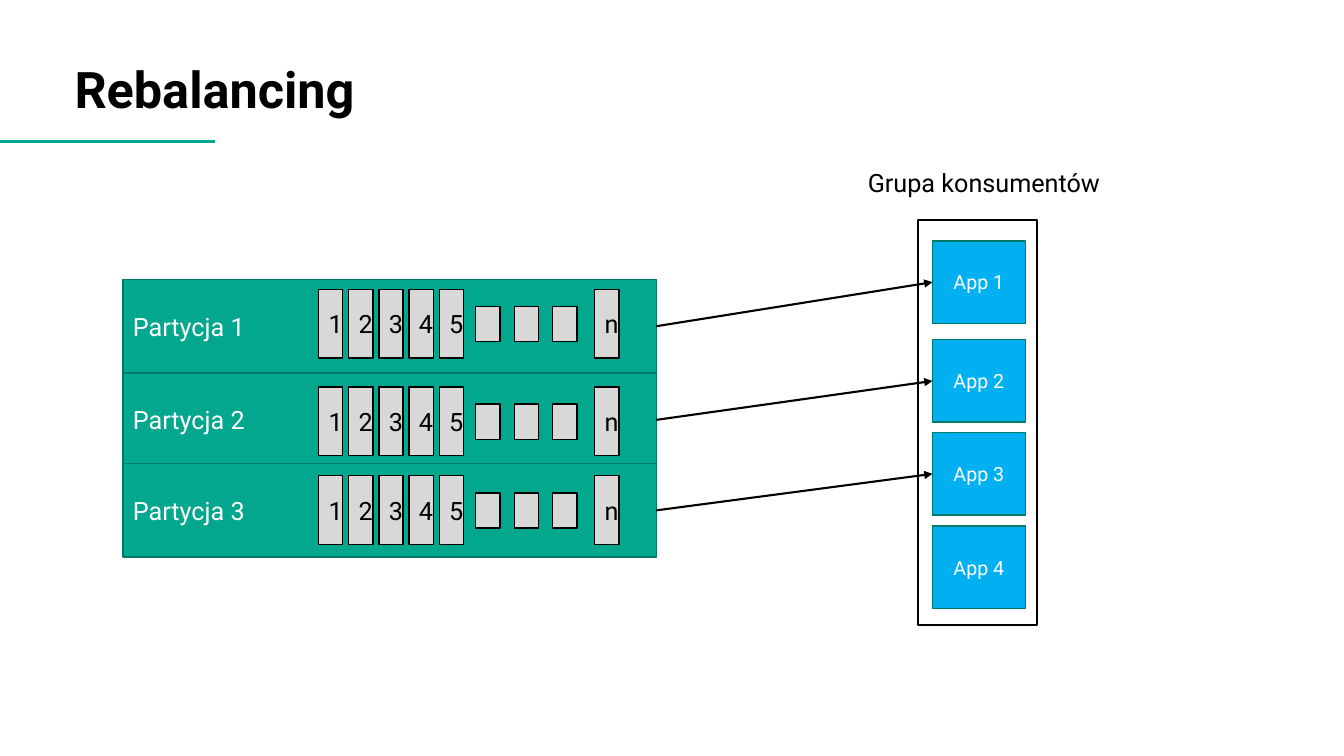
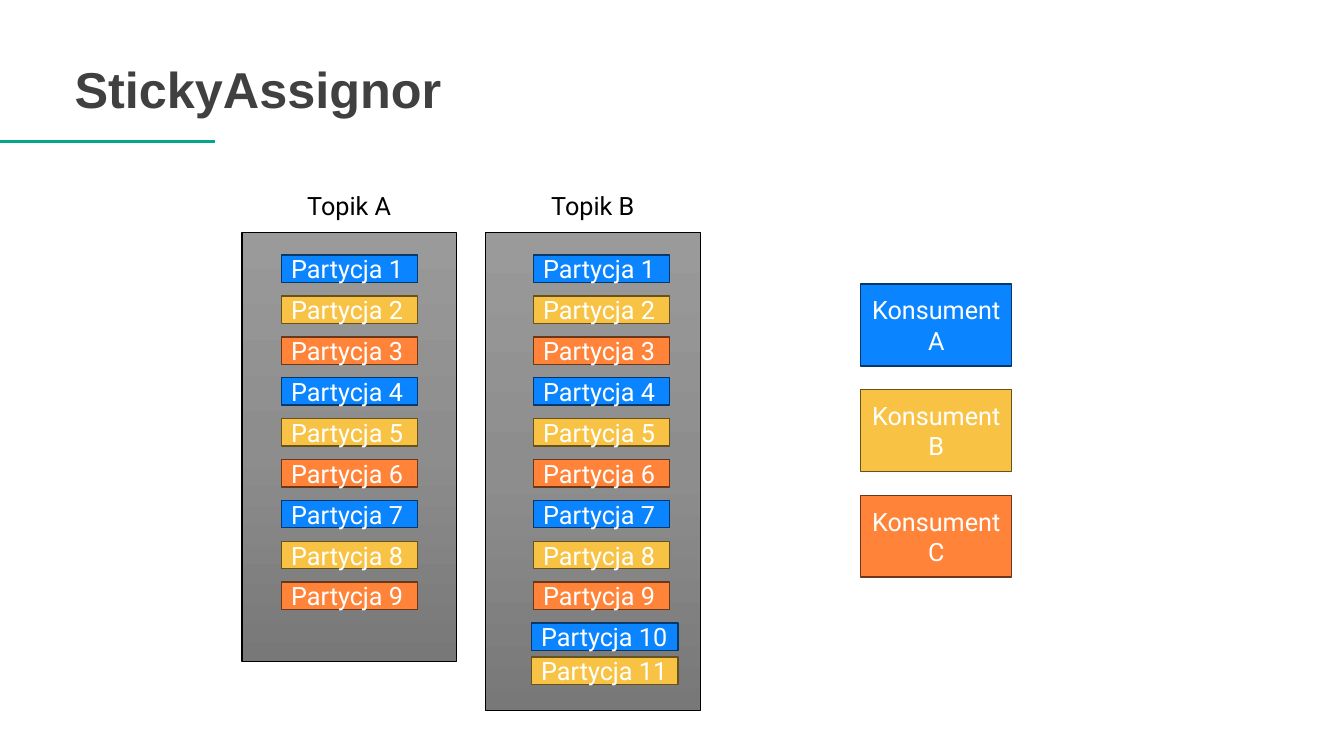
from copy import deepcopy
from lxml.etree import SubElement
from pptx import Presentation
from pptx.dml.color import RGBColor
from pptx.enum.shapes import MSO_CONNECTOR, MSO_SHAPE
from pptx.enum.text import MSO_ANCHOR, PP_ALIGN
from pptx.oxml.ns import qn
from pptx.util import Cm, Pt

HUES = {
    "black": "000000", "white": "FFFFFF", "dark": "404040", "grey": "D8D8D8",
    "green": "02A78E", "pine": "017967", "sky": "00B0F0",
    "blue": "0A85FF", "navy": "04386B", "gold": "F8C344", "brown": "68521C",
    "coral": "FF843A", "rust": "6B3718",
    "top": "9A9A9A", "mid": "8D8D8D", "low": "787878",
}
FONT = "Roboto"

ROWS = [("Partycja 1", 7.04, 7.29), ("Partycja 2", 9.4, 9.75), ("Partycja 3", 11.68, 11.99)]
CELLS = [(str(n + 1), 8.03 + 0.76 * n) for n in range(5)] + [("n", 14.99)]
GAPS = [11.99 + 0.97 * n for n in range(3)]
APPS = [("App 1", 6.07), ("App 2", 8.56), ("App 3", 10.9), ("App 4", 13.26)]

TOPICS = [("Topik A", 6.1, 10.8, 7.09, 9), ("Topik B", 12.24, 12.04, 13.44, 11)]
TOPS = [6.43 + 1.03 * n for n in range(10)] + [16.56]
USERS = [("Konsument A", "blue", "navy"), ("Konsument B", "gold", "brown"),
         ("Konsument C", "coral", "rust")]


def rgb(hue):
    return RGBColor.from_string(HUES[hue])


def write(shape, text, hue, size=18, font=FONT, bold=False, align=PP_ALIGN.LEFT,
          anchor=MSO_ANCHOR.MIDDLE, side=0.25):
    frame = shape.text_frame
    frame.word_wrap = True
    frame.vertical_anchor = anchor
    frame.margin_left = frame.margin_right = Cm(side)
    frame.margin_top = frame.margin_bottom = Cm(0.13)
    para = frame.paragraphs[0]
    para.alignment = align
    run = para.add_run()
    run.text = text
    run.font.name = font
    run.font.size = Pt(size)
    run.font.bold = bold
    run.font.color.rgb = rgb(hue)


def label(slide, text, x, y, w, h, hue="black", **style):
    box = slide.shapes.add_textbox(Cm(x), Cm(y), Cm(w), Cm(h))
    write(box, text, hue, **style)


def block(slide, x, y, w, h, fill, edge, width=1):
    rect = slide.shapes.add_shape(MSO_SHAPE.RECTANGLE, Cm(x), Cm(y), Cm(w), Cm(h))
    rect.shadow.inherit = False
    if fill:
        rect.fill.solid()
        rect.fill.fore_color.rgb = rgb(fill)
    else:
        rect.fill.background()
    rect.line.color.rgb = rgb(edge)
    rect.line.width = Pt(width)
    return rect


def shade(rect):
    rect.fill.gradient()
    rect.fill.gradient_angle = 270
    first = next(rect._element.spPr.iter(qn("a:gs")))
    first.addnext(deepcopy(first))
    for stop, (hue, pos) in zip(rect.fill.gradient_stops,
                                [("top", 0), ("mid", 0.5), ("low", 1)]):
        stop.color.rgb = rgb(hue)
        stop.position = pos


def line(slide, hue, width, x=0, y=0, end=0):
    link = slide.shapes.add_connector(MSO_CONNECTOR.STRAIGHT, Cm(x), Cm(y), Cm(end), Cm(y))
    link.line.color.rgb = rgb(hue)
    link.line.width = Pt(width)
    SubElement(link._element.spPr, qn("a:effectLst"))
    return link


def arrow(slide, start, end):
    link = line(slide, "black", 1.5)
    link.begin_connect(start, 3)
    link.end_connect(end, 1)
    SubElement(link.line._get_or_add_ln(), qn("a:tailEnd"), type="triangle")


def page(deck, title, hue, font):
    slide = deck.slides.add_slide(deck.slide_layouts[6])
    line(slide, "green", 2, y=3.56, end=5.41)
    label(slide, title, 1.88, 0, 30.07, 3.12, hue, size=36, font=font, bold=True,
          anchor=MSO_ANCHOR.BOTTOM, side=0)
    return slide


def balance(deck):
    slide = page(deck, "Rebalancing", "black", FONT)
    bars = []
    for name, top, y in ROWS:
        bar = block(slide, 3.1, top, 13.44, 2.36, "green", "pine")
        write(bar, name, "white")
        bars.append(bar)
        for text, x in CELLS:
            cell = block(slide, x, y, 0.61, 1.73, "grey", "black")
            write(cell, text, "black", align=PP_ALIGN.CENTER)
        for x in GAPS:
            block(slide, x, y + 0.43, 0.61, 0.89, "grey", "black")
    block(slide, 23.14, 5.54, 3, 10.21, None, "black")
    label(slide, "Grupa konsumentów", 21.62, 4.09, 9.02, 1.02, anchor=MSO_ANCHOR.TOP)
    apps = []
    for name, y in APPS:
        app = block(slide, 23.5, y, 2.34, 2.08, "sky", "pine")
        write(app, name, "white", size=14, align=PP_ALIGN.CENTER)
        apps.append(app)
    for bar, app in zip(bars, apps):
        arrow(slide, bar, app)


def sticky(deck):
    slide = page(deck, "StickyAssignor", "dark", "Arial")
    for name, x, h, left, count in TOPICS:
        shade(block(slide, x, 5.87, 5.41, h, None, "black", 0.75))
        label(slide, name, x + 0.5, 4.67, 4.4, 1.1, align=PP_ALIGN.CENTER,
              anchor=MSO_ANCHOR.TOP, side=0)
        for n, y in enumerate(TOPS[:count]):
            fill, edge = USERS[n % len(USERS)][1:]
            dx, w = (0, 3.43) if n < 9 else (-0.05, 3.7)
            strip = block(slide, left + dx, y, w, 0.69, fill, edge)
            write(strip, f"Partycja {n + 1}", "white")
    for n, (name, fill, edge) in enumerate(USERS):
        user = block(slide, 21.69, 7.16 + 2.66 * n, 3.81, 2.06, fill, edge)
        write(user, name, "white", align=PP_ALIGN.CENTER)


def main():
    deck = Presentation()
    deck.slide_width, deck.slide_height = Cm(33.87), Cm(19.05)
    balance(deck)
    sticky(deck)
    deck.save("out.pptx")


if __name__ == "__main__":
    main()
